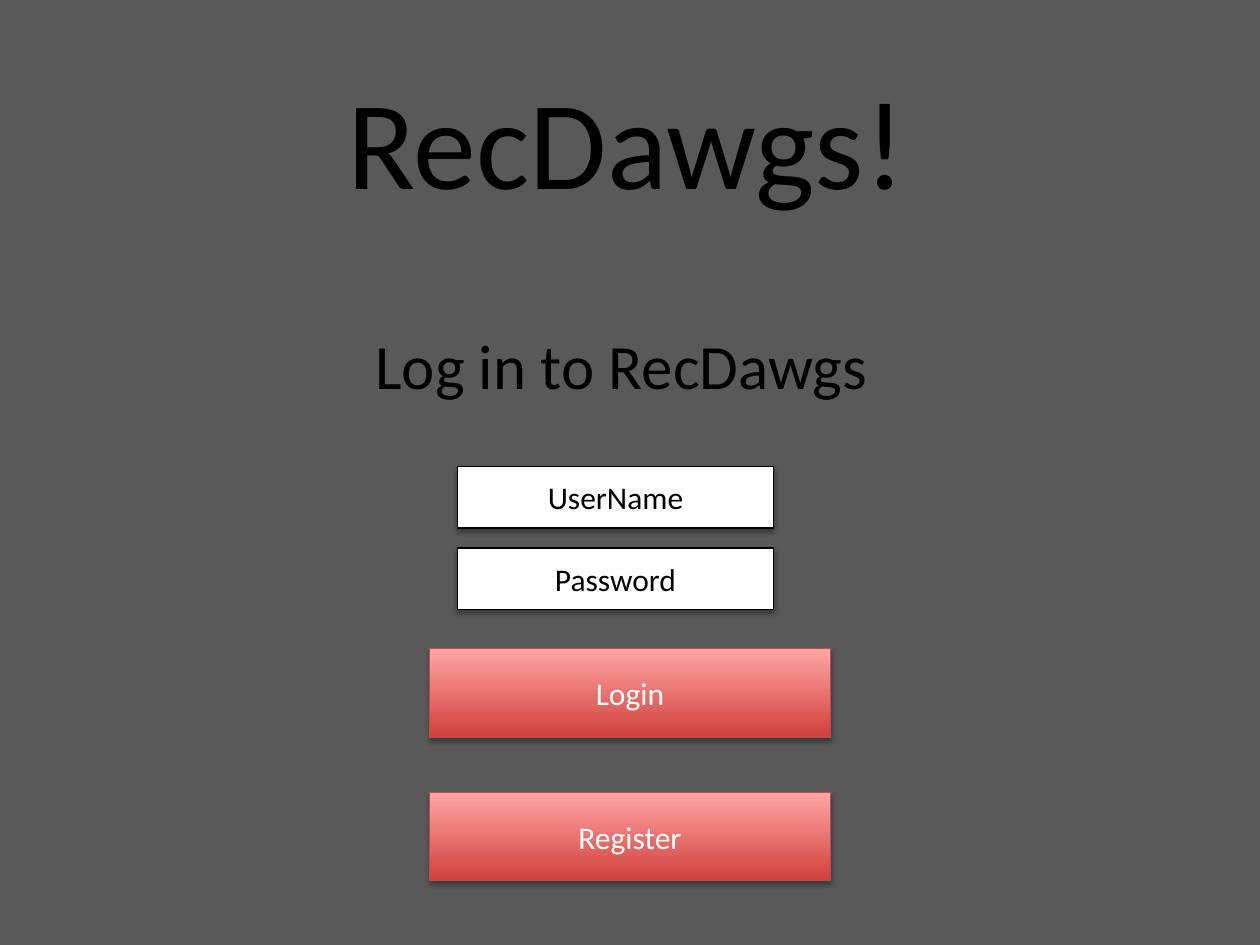
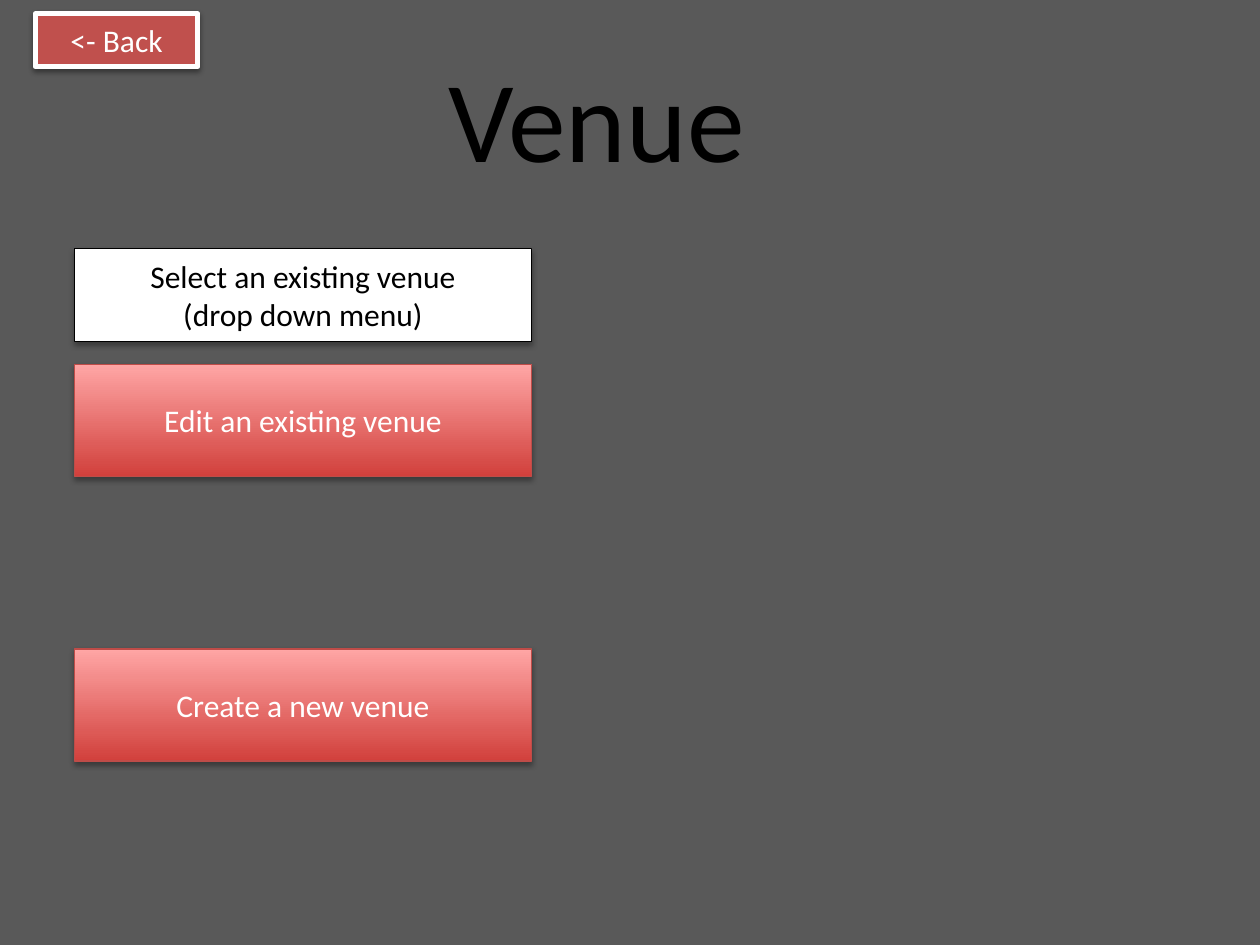
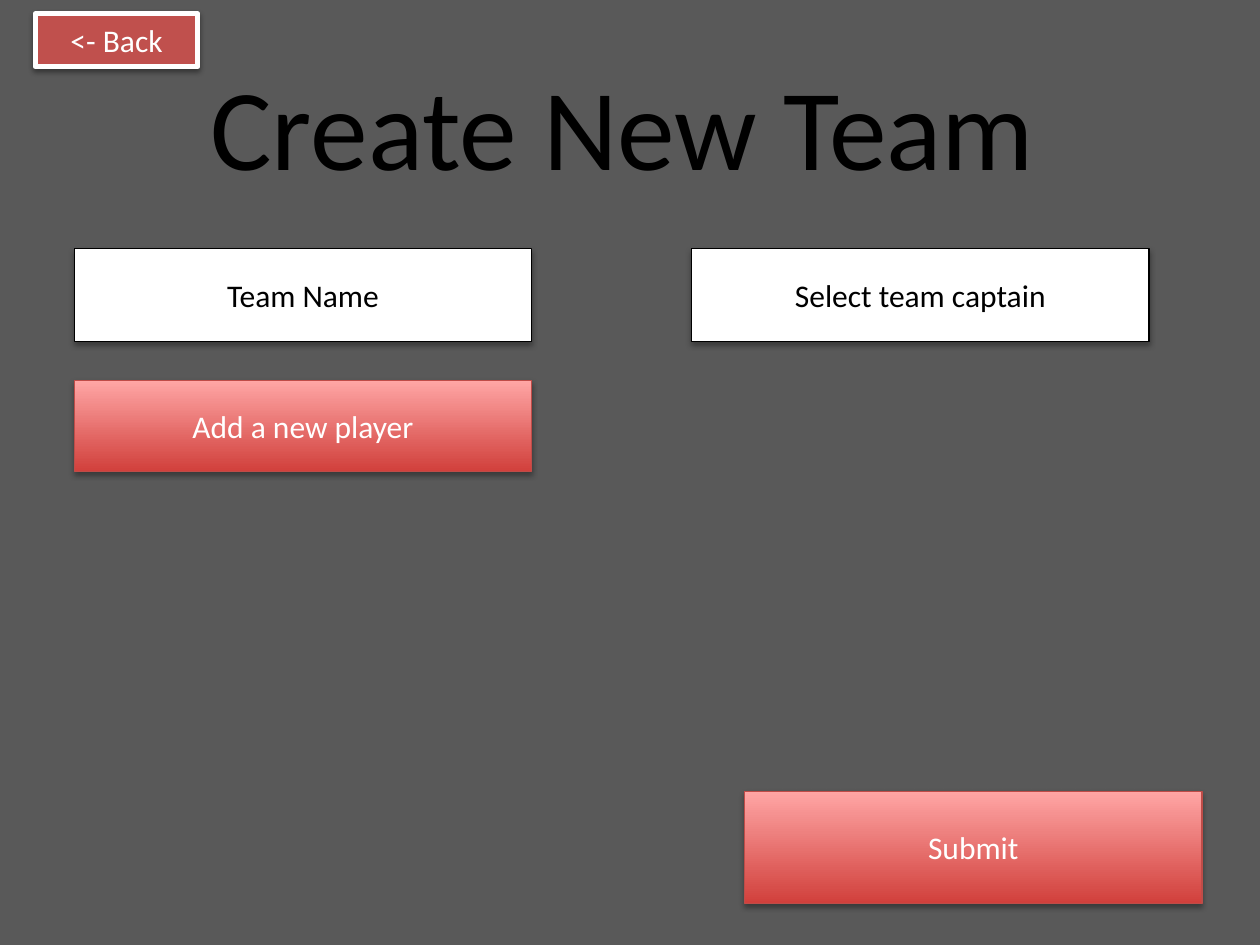
from dataclasses import dataclass

import lxml.etree
import pptx
import pptx.dml.color
import pptx.enum.shapes
import pptx.enum.text
import pptx.oxml
import pptx.oxml.ns
import pptx.util
from pptx.util import Inches

# Shared look
FONT = "Calibri"
BACKGROUND = "595959"
BLACK = "000000"
WHITE = "FFFFFF"
BUTTON_BOTTOM = "D1403C"
BUTTON_TOP = "FFA6A5"
BUTTON_LINE = "BF4C48"
BACK_RED = "C0504D"

# Shared grid, in inches
LEFT = 0.59
WIDE = 3.63
FIELD_TOP = 1.97
FIELD_HEIGHT = 0.74
BUTTON_HEIGHT = 0.89


@dataclass(frozen=True)
class BoxStyle:
    fills: tuple[str, ...]  # one colour, or bottom and top of a gradient
    line: str
    line_width: float
    text: str
    shadow_opacity: int = 35
    shadow_distance: float = 1.8


@dataclass(frozen=True)
class Box:
    text: str
    left: float
    top: float
    width: float
    height: float
    style: BoxStyle


@dataclass(frozen=True)
class Heading:
    text: str
    left: float
    top: float
    width: float
    height: float
    size: int
    wrap: bool = True


FIELD = BoxStyle((WHITE,), BLACK, 0.75, BLACK)
BUTTON = BoxStyle((BUTTON_BOTTOM, BUTTON_TOP), BUTTON_LINE, 0.75, WHITE)
BACK = BoxStyle((BACK_RED,), WHITE, 3, WHITE, 38, 1.6)
BACK_BUTTON = Box("<- Back", 0.28, 0.11, 1.29, 0.42, BACK)


def color(value: str) -> pptx.dml.color.RGBColor:
    return pptx.dml.color.RGBColor.from_string(value)


def format_text(text_frame, size: int, text_color: str, alignment) -> None:
    for paragraph in text_frame.paragraphs:
        paragraph.alignment = alignment
        paragraph.space_before = pptx.util.Pt(0)
        for run in paragraph.runs:
            run.font.name = FONT
            run.font.size = pptx.util.Pt(size)
            run.font.color.rgb = color(text_color)


def add_shadow(shape, opacity: int, distance: float) -> None:
    """Drop a soft black shadow straight down."""
    namespace = pptx.oxml.ns.nsdecls("a")
    effects = pptx.oxml.parse_xml(
        f'<a:effectLst {namespace}>'
        f'<a:outerShdw blurRad="{pptx.util.Pt(3.1)}" dist="{pptx.util.Pt(distance)}" '
        f'dir="5400000" rotWithShape="0"><a:srgbClr val="{BLACK}">'
        f'<a:alpha val="{opacity * 1000}"/></a:srgbClr></a:outerShdw></a:effectLst>')
    shape._element.spPr.append(effects)


def add_box(slide, box: Box) -> None:
    shape = slide.shapes.add_shape(
        pptx.enum.shapes.MSO_SHAPE.RECTANGLE,
        Inches(box.left), Inches(box.top), Inches(box.width), Inches(box.height))
    style = box.style
    if len(style.fills) == 1:
        shape.fill.solid()
        shape.fill.fore_color.rgb = color(style.fills[0])
    else:
        shape.fill.gradient()
        shape.fill.gradient_angle = 90
        for stop, value in zip(shape.fill.gradient_stops, style.fills):
            stop.color.rgb = color(value)
    shape.line.color.rgb = color(style.line)
    shape.line.width = pptx.util.Pt(style.line_width)
    add_shadow(shape, style.shadow_opacity, style.shadow_distance)
    shape.text_frame.text = box.text
    shape.text_frame.vertical_anchor = pptx.enum.text.MSO_ANCHOR.MIDDLE
    format_text(shape.text_frame, 18, style.text, pptx.enum.text.PP_ALIGN.CENTER)


def fill_heading(placeholder, heading: Heading) -> None:
    placeholder.left, placeholder.top = Inches(heading.left), Inches(heading.top)
    placeholder.width, placeholder.height = Inches(heading.width), Inches(heading.height)
    text_frame = placeholder.text_frame
    text_frame.text = heading.text
    text_frame.word_wrap = heading.wrap
    text_frame.auto_size = pptx.enum.text.MSO_AUTO_SIZE.SHAPE_TO_FIT_TEXT
    text_frame.vertical_anchor = pptx.enum.text.MSO_ANCHOR.TOP
    format_text(text_frame, heading.size, BLACK, pptx.enum.text.PP_ALIGN.LEFT)


def add_screen(presentation, layout: int, headings: list[Heading], boxes: list[Box]) -> None:
    slide = presentation.slides.add_slide(presentation.slide_layouts[layout])
    slide.background.fill.solid()
    slide.background.fill.fore_color.rgb = color(BACKGROUND)
    for placeholder, heading in zip(slide.placeholders, headings):
        fill_heading(placeholder, heading)
    for box in boxes:
        add_box(slide, box)


def main() -> None:
    presentation = pptx.Presentation()
    presentation.slide_width = Inches(10)
    presentation.slide_height = Inches(7.5)
    title_slide, title_only = 0, 5

    # Login
    add_screen(
        presentation, title_slide,
        [Heading("RecDawgs!", 2.66, 0.45, 4.71, 1.31, 72, wrap=False),
         Heading("Log in to RecDawgs", 2.88, 2.54, 4.16, 0.71, 36, wrap=False)],
        [Box(text, 3.63, 3.7 + 0.65 * row, 2.51, 0.49, FIELD)
         for row, text in enumerate(("UserName", "Password"))]
        + [Box(text, 3.41, 5.15 + 1.14 * row, 3.18, 0.7, BUTTON)
           for row, text in enumerate(("Login", "Register"))])

    # Venue
    add_screen(
        presentation, title_only,
        [Heading("Venue", 3.46, 0.32, 3.8, 1.21, 66)],
        [Box("Edit an existing venue", LEFT, 2.89, WIDE, BUTTON_HEIGHT, BUTTON),
         Box("Create a new venue", LEFT, 5.15, WIDE, BUTTON_HEIGHT, BUTTON),
         Box("Select an existing venue\n(drop down menu)",
             LEFT, FIELD_TOP, WIDE, FIELD_HEIGHT, FIELD),
         BACK_BUTTON])

    # New team
    add_screen(
        presentation, title_only,
        [Heading("Create New Team", 1.57, 0.39, 7.58, 1.21, 66)],
        [Box("Submit", 5.91, 6.28, WIDE, BUTTON_HEIGHT, BUTTON),
         Box("Team Name", LEFT, FIELD_TOP, WIDE, FIELD_HEIGHT, FIELD),
         BACK_BUTTON,
         Box("Add a new player", LEFT, 3.02, WIDE, 0.72, BUTTON),
         Box("Select team captain", 5.49, FIELD_TOP, WIDE, FIELD_HEIGHT, FIELD)])

    presentation.save("out.pptx")


if __name__ == "__main__":
    main()
